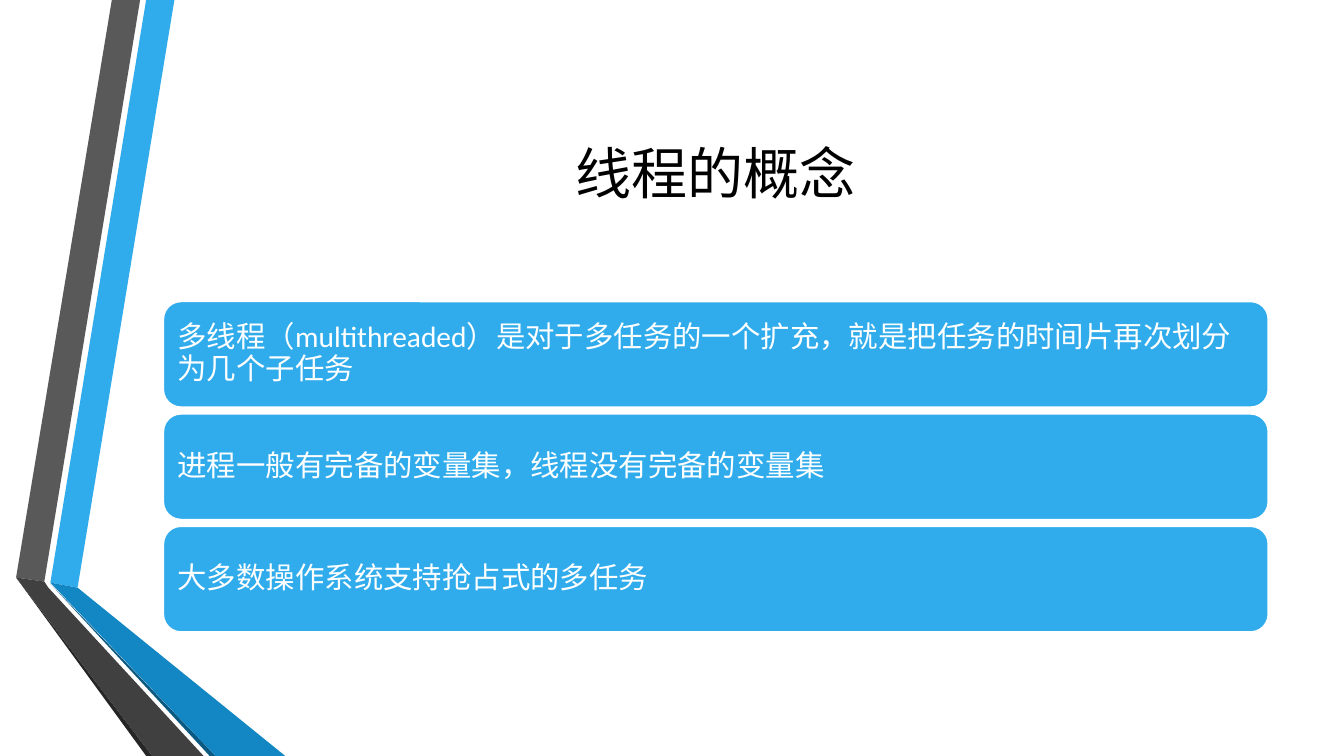
from pptx import Presentation
from pptx.dml.color import RGBColor
from pptx.enum.shapes import MSO_SHAPE
from pptx.enum.text import MSO_ANCHOR, PP_ALIGN
from pptx.util import Inches, Pt


def color(value):
    return RGBColor.from_string(value)


deck = Presentation()
deck.slide_width = Inches(13.33)
deck.slide_height = Inches(7.5)
slide = deck.slides.add_slide(deck.slide_layouts[5])
shapes = slide.shapes

# Folded ribbons on the left edge
ribbons = [
    ("30ACEC", [(0.5, 5.78), (0.77, 5.83), (1.73, 0), (1.45, 0)]),
    ("595959", [(1.39, 0), (1.11, 0), (0.16, 5.73), (0.44, 5.77)]),
    ("262626", [(0.16, 5.73), (1.45, 7.5), (1.51, 7.5)]),
    ("0C5A82", [(0.5, 5.79), (2.08, 7.5), (2.14, 7.5)]),
    ("1287C3", [(0.5, 5.78), (2.14, 7.5), (2.83, 7.5), (0.77, 5.83)]),
    ("404040", [(2.02, 7.5), (0.48, 5.83), (0.44, 5.77), (0.16, 5.73), (1.51, 7.5)]),
]
for fill, points in ribbons:
    corners = [(Inches(x), Inches(y)) for x, y in points]
    outline = shapes.build_freeform(*corners[0])
    outline.add_line_segments(corners[1:], close=True)
    ribbon = outline.convert_to_shape()
    ribbon.shadow.inherit = False
    ribbon.fill.solid()
    ribbon.fill.fore_color.rgb = color(fill)
    ribbon.line.fill.background()

left, width = Inches(1.62), Inches(10.96)

title = shapes.title
title.left, title.top = left, Inches(0.75)
title.width, title.height = width, Inches(1.92)
title.text_frame.text = "线程的概念"
title.text_frame.vertical_anchor = MSO_ANCHOR.MIDDLE
heading = title.text_frame.paragraphs[0]
heading.alignment = PP_ALIGN.CENTER
heading.font.name = "Calibri"
heading.font.size = Pt(40)
heading.font.color.rgb = color("000000")

# Three stacked cards
points = [
    "多线程（multithreaded）是对于多任务的一个扩充，就是把任务的时间片再次划分为几个子任务",
    "进程一般有完备的变量集，线程没有完备的变量集",
    "大多数操作系统支持抢占式的多任务",
]
for row, text in enumerate(points):
    top = Inches(2.99 + 1.115 * row)
    card = shapes.add_shape(MSO_SHAPE.ROUNDED_RECTANGLE, left, top, width, Inches(1.05))
    card.shadow.inherit = False
    card.fill.solid()
    card.fill.fore_color.rgb = color("30ACEC")
    card.line.color.rgb = color("FFFFFF")
    card.line.width = Pt(1.25)
    frame = card.text_frame
    frame.word_wrap = True
    frame.vertical_anchor = MSO_ANCHOR.MIDDLE
    frame.margin_left = frame.margin_right = Inches(0.09)
    frame.margin_top = frame.margin_bottom = Inches(0.09)
    frame.text = text
    body = frame.paragraphs[0]
    body.alignment = PP_ALIGN.LEFT
    body.line_spacing = 0.9
    body.font.name = "Calibri"
    body.font.size = Pt(21)
    body.font.color.rgb = color("FFFFFF")

deck.save("out.pptx")
